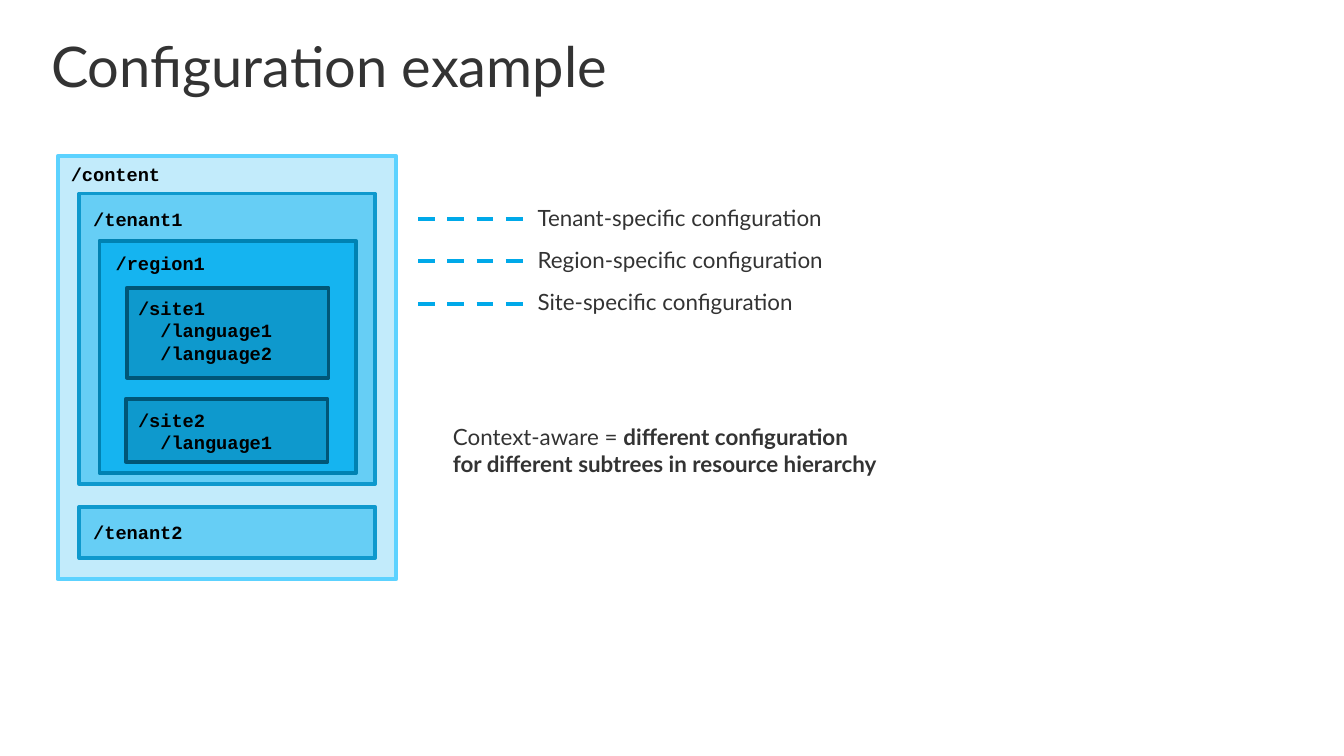
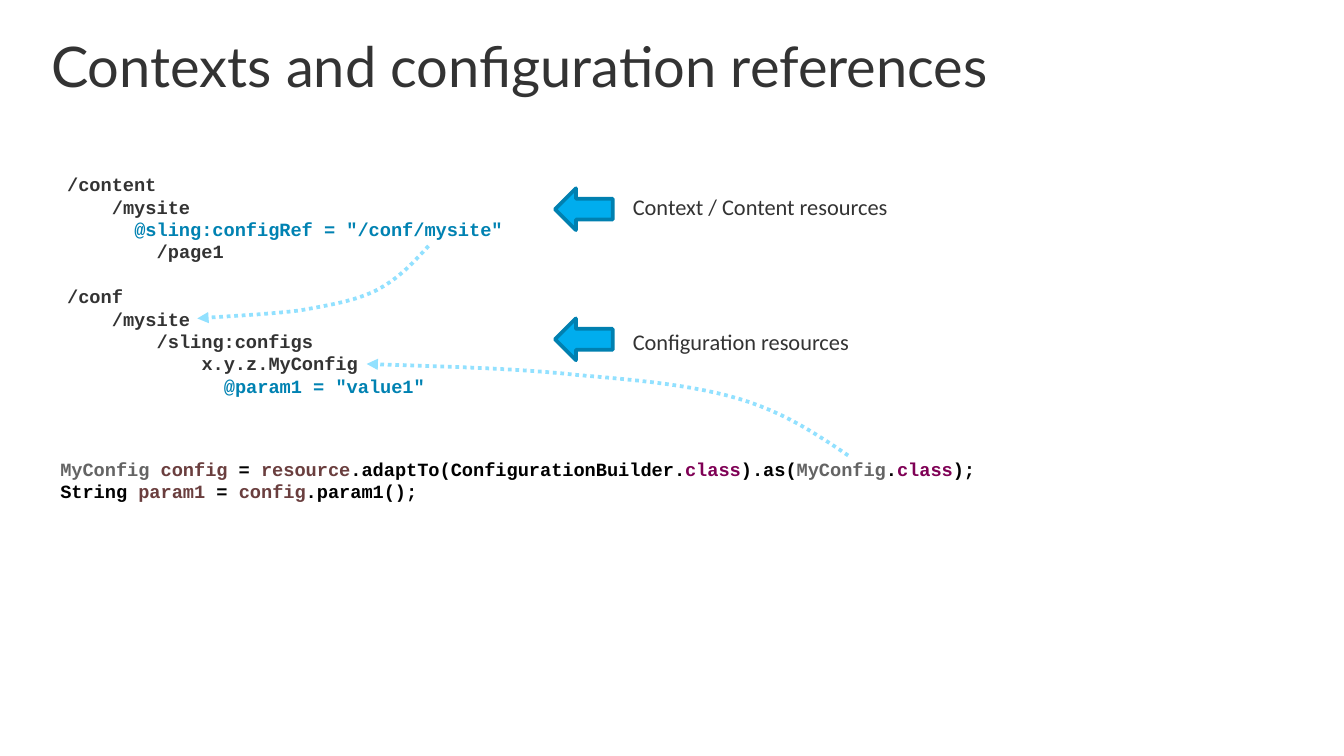
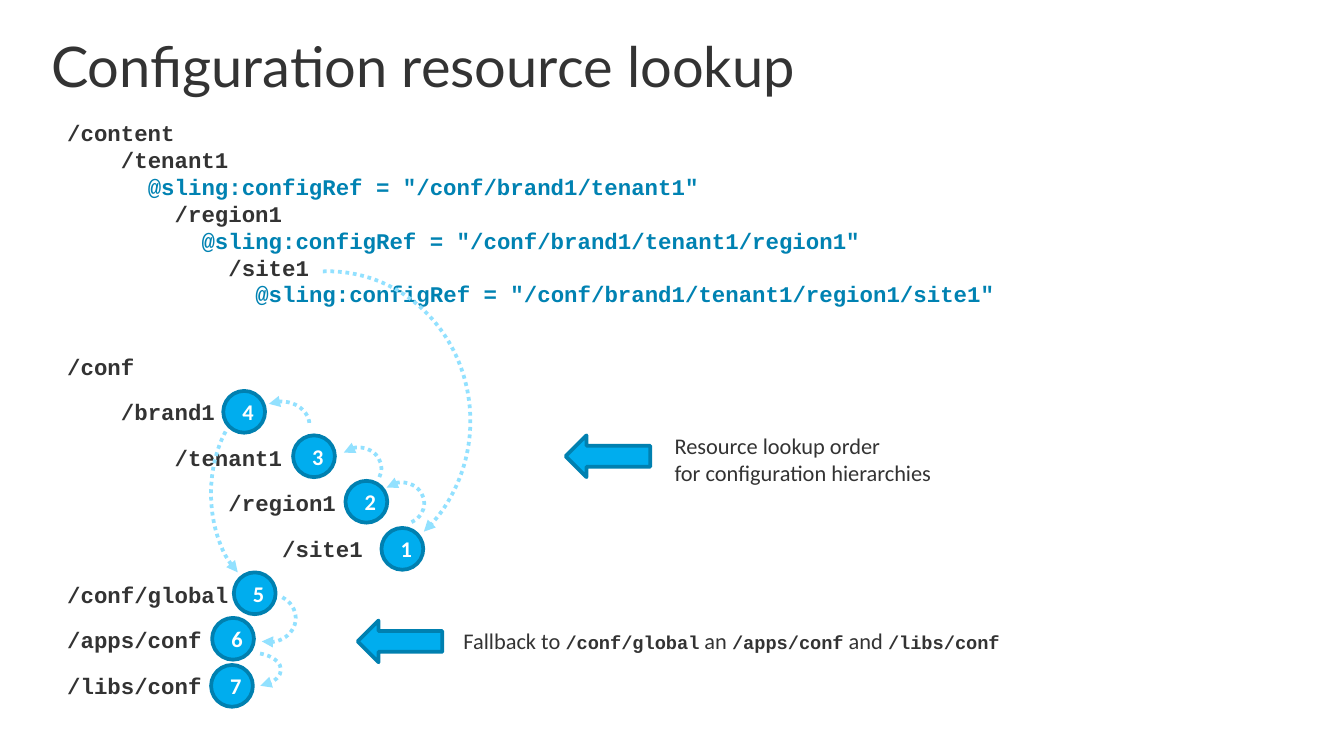
from dataclasses import dataclass, replace
from typing import Optional, Sequence

from lxml.etree import SubElement
from pptx import Presentation
from pptx.dml.color import RGBColor
from pptx.enum.dml import MSO_LINE
from pptx.enum.shapes import MSO_CONNECTOR, MSO_SHAPE
from pptx.enum.text import MSO_ANCHOR, MSO_AUTO_SIZE, PP_ALIGN
from pptx.oxml.ns import qn
from pptx.util import Cm, Pt

# Shared colours
INK, BLACK, WHITE = "333333", "000000", "FFFFFF"
ACCENT, BRIGHT, EDGE, PALE = "0082B2", "00ADEE", "0080B0", "92E1FF"
TYPE_NAME, VARIABLE, KEYWORD = "646464", "6A3E3E", "7F0055"
LINE_FACTOR = 1.2  # line height of code, in font sizes
CHAR_FACTOR = 0.6  # width of a code character, in font sizes


@dataclass(frozen=True)
class Style:
    font: str
    size: float
    color: str = INK
    bold: bool = False


TITLE = Style("Lato", 30)
LATO = Style("Lato", 12)
LATO_BOLD = replace(LATO, bold=True)
CALIBRI = Style("Calibri", 12)
NUMBER = Style("Calibri", 12, WHITE, True)
CODE = Style("Courier New", 10, INK, True)
CODE_BLACK = replace(CODE, color=BLACK)
CODE_LARGE = replace(CODE, size=12)


@dataclass(frozen=True)
class Span:
    text: str
    style: Style


@dataclass(frozen=True)
class CodeLine:
    text: str
    indent: int = 0  # characters
    skip: int = 0  # empty lines above
    space: float = 0  # further points above
    color: Optional[str] = None


@dataclass(frozen=True)
class Panel:
    left: float
    top: float
    width: float
    height: float
    fill: str
    edge: str


@dataclass(frozen=True)
class Arc:
    left: float
    top: float
    width: float
    height: float
    start: float  # degrees
    end: float
    arrow: str  # headEnd or tailEnd


def rgb(color: str) -> RGBColor:
    return RGBColor.from_string(color)


# Text
def apply_style(font, style: Style) -> None:
    font.name, font.size, font.bold = style.font, Pt(style.size), style.bold
    font.color.rgb = rgb(style.color)


def write(para, spans: Sequence[Span]) -> None:
    uniform = len({span.style for span in spans}) == 1
    if uniform:
        apply_style(para.font, spans[0].style)
    for span in spans:
        run = para.add_run()
        run.text = span.text
        if not uniform:
            apply_style(run.font, span.style)


def next_paragraph(frame, index: int):
    return frame.add_paragraph() if index else frame.paragraphs[0]


def add_frame(page, left: float, top: float, width: float, height: float):
    frame = page.shapes.add_textbox(Cm(left), Cm(top), Cm(width), Cm(height)).text_frame
    frame.word_wrap = True
    return frame


def add_text(page, left: float, top: float, width: float, height: float,
             *rows: Sequence[Span]):
    frame = add_frame(page, left, top, width, height)
    for index, spans in enumerate(rows):
        write(next_paragraph(frame, index), spans)
    return frame


def set_code_spacing(para, style: Style) -> None:
    para.line_spacing = Pt(style.size * LINE_FACTOR)


def add_code(page, left: float, top: float, width: float, height: float,
             lines: Sequence[CodeLine], style: Style) -> None:
    frame = add_frame(page, left, top, width, height)
    for index, line in enumerate(lines):
        para = next_paragraph(frame, index)
        write(para, [Span(line.text, replace(style, color=line.color or style.color))])
        set_code_spacing(para, style)
        para.space_before = Pt(line.skip * style.size * LINE_FACTOR + line.space)
        margin = Pt(line.indent * style.size * CHAR_FACTOR)
        para._p.get_or_add_pPr().set("marL", str(int(margin)))


# Shapes
def add_shape(page, kind, left: float, top: float, width: float, height: float,
              fill: str = BRIGHT, edge: str = EDGE):
    shape = page.shapes.add_shape(kind, Cm(left), Cm(top), Cm(width), Cm(height))
    shape.shadow.inherit = False
    shape.fill.solid()
    shape.fill.fore_color.rgb = rgb(fill)
    shape.line.color.rgb = rgb(edge)
    shape.line.width = Pt(2)
    return shape


def make_dotted(shape, arrow: str) -> None:
    shape.shadow.inherit = False
    shape.fill.background()
    shape.line.color.rgb = rgb(PALE)
    shape.line.width = Pt(2)
    shape.line.dash_style = MSO_LINE.ROUND_DOT
    SubElement(shape.line._get_or_add_ln(), qn(f"a:{arrow}"), type="triangle")


def add_arc(page, arc: Arc) -> None:
    shape = page.shapes.add_shape(MSO_SHAPE.ARC, Cm(arc.left), Cm(arc.top),
                                  Cm(arc.width), Cm(arc.height))
    # Angles are stored in 60000ths of a degree, adjustments in 100000ths
    for index, angle in enumerate((arc.start, arc.end)):
        shape.adjustments[index] = angle * 0.6
    make_dotted(shape, arc.arrow)


def add_curve(page, points: Sequence[tuple[float, float]], steps: int = 12) -> None:
    """Draw joined cubic curves: a start, then three points for each curve."""
    path = []
    for first in range(0, len(points) - 1, 3):
        corners = points[first:first + 4]
        for step in range(1, steps + 1):
            t = step / steps
            weights = ((1 - t) ** 3, 3 * t * (1 - t) ** 2, 3 * t * t * (1 - t), t ** 3)
            path.append(tuple(
                int(Cm(sum(weight * corner[axis] for weight, corner in zip(weights, corners))))
                for axis in (0, 1)))
    builder = page.shapes.build_freeform(Cm(points[0][0]), Cm(points[0][1]))
    builder.add_line_segments(path, close=False)
    make_dotted(builder.convert_to_shape(), "tailEnd")


def add_dashes(page, left: float, right: float, height: float) -> None:
    line = page.shapes.add_connector(MSO_CONNECTOR.STRAIGHT, Cm(left), Cm(height),
                                     Cm(right), Cm(height))
    line.line.color.rgb = rgb("00A9E9")
    line.line.width = Pt(2.25)
    line.line.dash_style = MSO_LINE.DASH
    SubElement(line._element.spPr, qn("a:effectLst"))


def add_number(page, number: int, left: float, top: float) -> None:
    frame = add_shape(page, MSO_SHAPE.OVAL, left, top, 0.79, 0.79).text_frame
    frame.margin_left = Cm(0.15)
    frame.margin_right = frame.margin_top = frame.margin_bottom = 0
    frame.vertical_anchor = MSO_ANCHOR.MIDDLE
    para = frame.paragraphs[0]
    para.alignment = PP_ALIGN.CENTER
    write(para, [Span(str(number), NUMBER)])


def add_left_arrow(page, left: float, top: float, width: float) -> None:
    add_shape(page, MSO_SHAPE.LEFT_ARROW, left, top, width, 0.79)


def add_page(deck, heading: str):
    page = deck.slides.add_slide(deck.slide_layouts[5])
    title = page.shapes.title
    title.left, title.top, title.width, title.height = Cm(0.71), Cm(0.25), Cm(23.8), Cm(1.96)
    frame = title.text_frame
    frame.auto_size = MSO_AUTO_SIZE.NONE
    frame.vertical_anchor = MSO_ANCHOR.MIDDLE
    para = frame.paragraphs[0]
    para.alignment = PP_ALIGN.LEFT
    write(para, [Span(heading, TITLE)])
    return page


deck = Presentation()
deck.slide_width, deck.slide_height = Cm(25.4), Cm(14.29)

# Slide 1: nested subtrees
page = add_page(deck, "Configuration example")
for panel in (
    Panel(1.09, 2.95, 6.4, 8, "C2EBFB", "5CD2FF"),
    Panel(1.5, 9.58, 5.59, 0.97, "66CEF5", "0E99CD"),
    Panel(1.5, 3.66, 5.59, 5.49, "66CEF5", "0E99CD"),
    Panel(1.88, 4.55, 4.85, 4.39, "15B4F0", ACCENT),
    Panel(2.38, 7.54, 3.81, 1.19, "0E99CD", "005677"),
    Panel(2.4, 5.44, 3.81, 1.7, "0E99CD", "005677"),
):
    add_shape(page, MSO_SHAPE.RECTANGLE, panel.left, panel.top, panel.width,
              panel.height, panel.fill, panel.edge)
add_code(page, 1.09, 2.95, 6, 7.52, [
    CodeLine("/content"),
    CodeLine("/tenant1", 2, skip=1),
    CodeLine("/region1", 4, skip=1),
    CodeLine("/site1", 6, skip=1),
    CodeLine("/language1", 8),
    CodeLine("/language2", 8),
    CodeLine("/site2", 6, skip=2),
    CodeLine("/language1", 8),
    CodeLine("/tenant2", 2, skip=3),
], CODE_BLACK)
for index, level in enumerate(("Tenant", "Region", "Site")):
    offset = index * 0.8
    add_dashes(page, 7.9, 9.98, 4.14 + offset)
    add_text(page, 9.91, 3.73 + offset, 8, 0.76,
             [Span(f"{level}-specific configuration", LATO)])
add_text(page, 8.31, 7.87, 8.8, 1.27,
         [Span("Context-aware = ", LATO), Span("different configuration", LATO_BOLD)],
         [Span("for different subtrees in resource hierarchy", LATO_BOLD)])

# Slide 2: references from content to configuration
page = add_page(deck, "Contexts and configuration references")
add_code(page, 1.02, 3.15, 9.2, 4.52, [
    CodeLine("/content"),
    CodeLine("/mysite", 4),
    CodeLine('@sling:configRef = "/conf/mysite"', 6, color=ACCENT),
    CodeLine("/page1", 8),
    CodeLine("/conf", skip=1),
    CodeLine("/mysite", 4),
    CodeLine("/sling:configs", 8),
    CodeLine("x.y.z.MyConfig", 12),
    CodeLine('@param1 = "value1"', 14, color=ACCENT),
], CODE)
for label, label_top, arrow_top in (
    ("Context / Content resources", 3.53, 3.56),
    ("Configuration resources", 6.07, 6.02),
):
    add_left_arrow(page, 10.49, arrow_top, 1.09)
    add_text(page, 11.71, label_top, 6, 0.76, [Span(label, CALIBRI)])

# Java statements
statements = (
    (("MyConfig ", TYPE_NAME), ("config", VARIABLE), (" = ", BLACK),
     ("resource", VARIABLE), (".adaptTo(ConfigurationBuilder.", BLACK),
     ("class", KEYWORD), (").as(", BLACK), ("MyConfig", TYPE_NAME), (".", BLACK),
     ("class", KEYWORD), (");", BLACK)),
    (("String ", BLACK), ("param1", VARIABLE), (" = ", BLACK),
     ("config", VARIABLE), (".param1();", BLACK)),
)
frame = add_text(page, 0.89, 8.53, 18.4, 1.12, *(
    [Span(text, replace(CODE, color=color)) for text, color in statement]
    for statement in statements))
for para in frame.paragraphs:
    set_code_spacing(para, CODE)

# Dotted references
add_curve(page, [(8.1, 4.65), (7.8, 4.98), (7.52, 5.28), (7.11, 5.49), (6.71, 5.69),
                 (6.22, 5.77), (5.66, 5.87), (5.11, 5.94), (4.42, 5.97), (3.73, 6.02)])
add_curve(page, [(16.03, 8.61), (15.42, 8.2), (14.83, 7.8), (13.97, 7.54), (13.13, 7.29),
                 (12.12, 7.19), (10.92, 7.09), (9.75, 6.96), (8.36, 6.93), (6.93, 6.88)])

# Slide 3: lookup order
page = add_page(deck, "Configuration resource lookup")
add_code(page, 1.02, 2.13, 18.8, 11.3, [
    CodeLine("/content"),
    CodeLine("/tenant1", 4),
    CodeLine('@sling:configRef = "/conf/brand1/tenant1"', 6, color=ACCENT),
    CodeLine("/region1", 8),
    CodeLine('@sling:configRef = "/conf/brand1/tenant1/region1"', 10, color=ACCENT),
    CodeLine("/site1", 12),
    CodeLine('@sling:configRef = "/conf/brand1/tenant1/region1/site1"', 14, color=ACCENT),
    CodeLine("/conf", skip=1, space=10),
    CodeLine("/brand1", 4, space=10),
    CodeLine("/tenant1", 8, space=10),
    CodeLine("/region1", 12, space=10),
    CodeLine("/site1", 16, space=10),
    CodeLine("/conf/global", space=10),
    CodeLine("/apps/conf", space=10),
    CodeLine("/libs/conf", space=10),
], CODE_LARGE)
for arc in (
    Arc(3.99, 7.54, 2.26, 3.58, 112.76, 234.07, "headEnd"),
    Arc(3.51, 5.13, 5.38, 5.66, 268.06, 49.08, "tailEnd"),
    Arc(7.16, 9.12, 0.86, 0.79, 226.61, 63.61, "headEnd"),
    Arc(6.35, 8.46, 0.86, 0.79, 226.61, 23.59, "headEnd"),
    Arc(4.78, 7.59, 1.07, 0.89, 239.86, 0.71, "headEnd"),
    Arc(4.57, 11.23, 1.02, 0.91, 303.25, 106.52, "tailEnd"),
    Arc(4.19, 12.34, 1.12, 0.64, 298.57, 60.43, "tailEnd"),
):
    add_arc(page, arc)
places = ((7.21, 9.98), (6.53, 9.09), (5.54, 8.23), (4.22, 7.39),
          (4.42, 10.82), (4.01, 11.68), (3.99, 12.57))
for number, (left, top) in enumerate(places, start=1):
    add_number(page, number, left, top)

# Explanations
add_left_arrow(page, 10.69, 8.23, 1.6)
add_text(page, 12.5, 8.05, 6, 1.27,
         [Span("Resource lookup order", CALIBRI)],
         [Span("for configuration hierarchies", CALIBRI)])
add_left_arrow(page, 6.76, 11.73, 1.6)
add_text(page, 8.51, 11.73, 11.2, 0.76, [
    Span("Fallback to ", CALIBRI), Span("/conf/global", CODE),
    Span(" an ", CALIBRI), Span("/apps/conf", CODE),
    Span(" and ", CALIBRI), Span("/libs/conf", CODE)])

deck.save("out.pptx")
